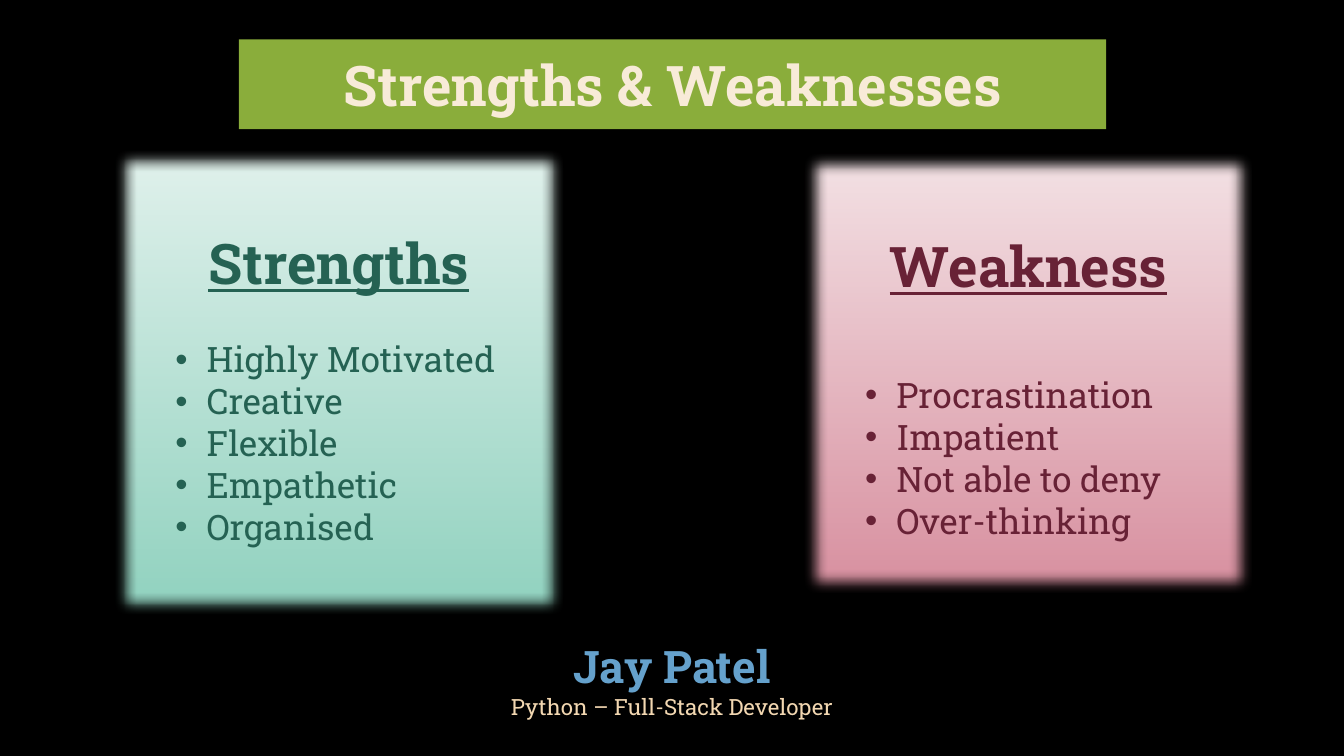
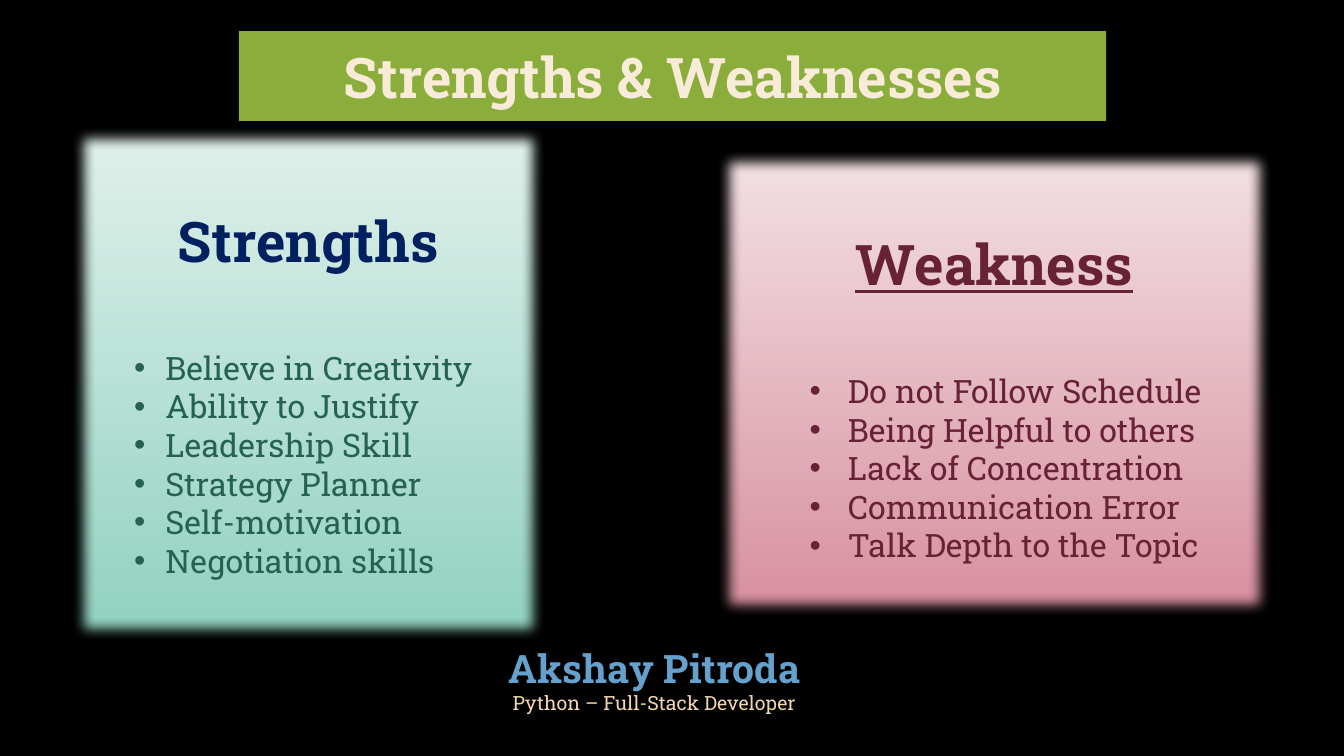
from dataclasses import dataclass

from lxml import etree
from pptx import Presentation
from pptx import util as u
from pptx.dml.color import RGBColor
from pptx.enum import text
from pptx.oxml import ns

FONT = "Roboto Slab"
BAND_GREEN, TITLE_CREAM = "9EC544", "F8EBD8"
NAME_BLUE, ROLE_SAND = "65A1CC", "F2D7B1"
TITLE_LEFT, TITLE_WIDTH, TITLE_HEIGHT = 2.37, 8.6, 0.89
HEADING_OFFSET = 0.78
ROLE = "Python – Full-Stack Developer"


@dataclass(frozen=True)
class Theme:
    top: str
    bottom: str
    border: str
    ink: str


@dataclass(frozen=True)
class Box:
    left: float
    top: float
    width: float
    height: float


@dataclass(frozen=True)
class Panel:
    heading: str
    items: tuple[str, ...]
    box: Box
    theme: Theme
    item_size: int
    list_gap: float = 53
    indent: float = 0.81
    hanging: float = 0.31
    heading_color: str = ""
    underlined: bool = True


@dataclass(frozen=True)
class Profile:
    name: str
    box: Box
    name_size: int
    role_size: int
    title_top: float
    panels: tuple[Panel, Panel]


MINT = Theme("E1F1EC", "8FD1BE", "50BEA3", "256253")
ROSE = Theme("F3E2E5", "D78E9E", "C54F71", "682236")

PROFILES = (
    Profile(
        "Jay Patel", Box(4.79, 6.29, 3.75, 0.91), 32, 16, 0.39,
        (
            Panel("Strengths",
                  ("Highly Motivated", "Creative", "Flexible", "Empathetic", "Organised"),
                  Box(1.14, 1.49, 4.44, 4.6), MINT, 25, list_gap=30),
            Panel("Weakness",
                  ("Procrastination", "Impatient", "Not able to deny", "Over-thinking"),
                  Box(7.98, 1.52, 4.44, 4.36), ROSE, 25),
        ),
    ),
    Profile(
        "Akshay Pitroda", Box(4.6, 6.34, 3.78, 0.81), 28, 14, 0.31,
        (
            Panel("Strengths",
                  ("Believe in Creativity", "Ability to Justify", "Leadership Skill",
                   "Strategy Planner", "Self-motivation", "Negotiation skills"),
                  Box(0.73, 1.27, 4.65, 5.07), MINT, 23,
                  heading_color="002060", underlined=False),
            Panel("Weakness",
                  ("Do not Follow Schedule", "Being Helpful to others",
                   "Lack of Concentration", "Communication Error",
                   "Talk Depth to the Topic"),
                  Box(7.12, 1.5, 5.48, 4.61), ROSE, 23, indent=1.19, hanging=0.38),
        ),
    ),
)


def rgb(color: str) -> RGBColor:
    return RGBColor.from_string(color)


def add_xml(parent, tag: str, **attributes: str):
    return etree.SubElement(parent, ns.qn(tag), attributes)


def place(shape, box: Box) -> None:
    shape.left, shape.top = u.Inches(box.left), u.Inches(box.top)
    shape.width, shape.height = u.Inches(box.width), u.Inches(box.height)


def style(paragraph, size: float, color: str, bold: bool = False,
          underlined: bool = False) -> None:
    font = paragraph.font
    font.name, font.size, font.bold = FONT, u.Pt(size), bold
    font.underline = underlined
    font.color.rgb = rgb(color)
    paragraph.line_spacing = 1.0
    paragraph.space_before = paragraph.space_after = u.Pt(0)


def set_bullet(paragraph, indent: float, hanging: float) -> None:
    properties = paragraph._p.get_or_add_pPr()
    properties.set("marL", str(u.Inches(indent)))
    properties.set("indent", str(-u.Inches(hanging)))
    add_xml(properties, "a:buFont", typeface="Arial")
    add_xml(properties, "a:buChar", char="•")


def remove_bullet(paragraph) -> None:
    properties = paragraph._p.get_or_add_pPr()
    properties.set("marL", "0")
    properties.set("indent", "0")
    add_xml(properties, "a:buNone")


def draw_title(title, top: float) -> None:
    """Turn the title placeholder into the translucent snipped band."""
    place(title, Box(TITLE_LEFT, top, TITLE_WIDTH, TITLE_HEIGHT))
    outline = etree.Element(ns.qn("a:prstGeom"), prst="snip2DiagRect")
    adjustments = add_xml(outline, "a:avLst")
    add_xml(adjustments, "a:gd", name="adj1", fmla="val 35900")
    add_xml(adjustments, "a:gd", name="adj2", fmla="val 0")
    title.element.spPr.insert(1, outline)
    title.fill.solid()
    title.fill.fore_color.rgb = rgb(BAND_GREEN)
    band_color = title.element.spPr.find(".//" + ns.qn("a:srgbClr"))
    add_xml(band_color, "a:alpha", val="88000")
    title.line.fill.background()
    title.shadow.inherit = False

    frame = title.text_frame
    frame.text = "Strengths & Weaknesses"
    frame.auto_size = text.MSO_AUTO_SIZE.NONE
    frame.vertical_anchor = text.MSO_ANCHOR.MIDDLE
    caption = frame.paragraphs[0]
    caption.alignment = text.PP_ALIGN.CENTER
    style(caption, 40, TITLE_CREAM, bold=True)


def draw_panel(body, panel: Panel) -> None:
    """Fill a body placeholder as a soft-edged card with a heading and a list."""
    theme = panel.theme
    place(body, panel.box)
    body.fill.gradient()
    body.fill.gradient_angle = 270
    for stop, color in zip(body.fill.gradient_stops, (theme.top, theme.bottom)):
        stop.color.rgb = rgb(color)
    body.line.color.rgb = rgb(theme.border)
    body.line.width = u.Pt(1)
    body.shadow.inherit = False
    effects = body.element.spPr.find(ns.qn("a:effectLst"))
    add_xml(effects, "a:softEdge", rad="112500")

    frame = body.text_frame
    frame.auto_size = text.MSO_AUTO_SIZE.NONE
    frame.word_wrap = True
    frame.vertical_anchor = text.MSO_ANCHOR.TOP
    frame.margin_top = u.Inches(HEADING_OFFSET)
    heading = frame.paragraphs[0]
    heading.text = panel.heading
    heading.alignment = text.PP_ALIGN.CENTER
    style(heading, 40, panel.heading_color or theme.ink, True, panel.underlined)
    remove_bullet(heading)
    for position, item in enumerate(panel.items):
        entry = frame.add_paragraph()
        entry.text = item
        entry.level = 1
        style(entry, panel.item_size, theme.ink)
        if position == 0:
            entry.space_before = u.Pt(panel.list_gap)
        set_bullet(entry, panel.indent, panel.hanging)


def draw_signature(slide, profile: Profile) -> None:
    signature = slide.shapes.add_textbox(0, 0, 0, 0)
    place(signature, profile.box)
    frame = signature.text_frame
    frame.word_wrap = True
    name, role = frame.paragraphs[0], frame.add_paragraph()
    name.text, role.text = profile.name, ROLE
    style(name, profile.name_size, NAME_BLUE, bold=True)
    style(role, profile.role_size, ROLE_SAND)
    name.alignment = role.alignment = text.PP_ALIGN.CENTER


def main() -> None:
    deck = Presentation()
    deck.slide_width, deck.slide_height = u.Inches(13.33), u.Inches(7.5)
    backdrop = deck.slide_master.background.fill
    backdrop.solid()
    backdrop.fore_color.rgb = rgb("000000")
    two_content = deck.slide_layouts.get_by_name("Two Content")
    for profile in PROFILES:
        slide = deck.slides.add_slide(two_content)
        title, *bodies = slide.placeholders
        draw_title(title, profile.title_top)
        for body, panel in zip(bodies, profile.panels):
            draw_panel(body, panel)
        draw_signature(slide, profile)
    deck.save("out.pptx")


if __name__ == "__main__":
    main()
